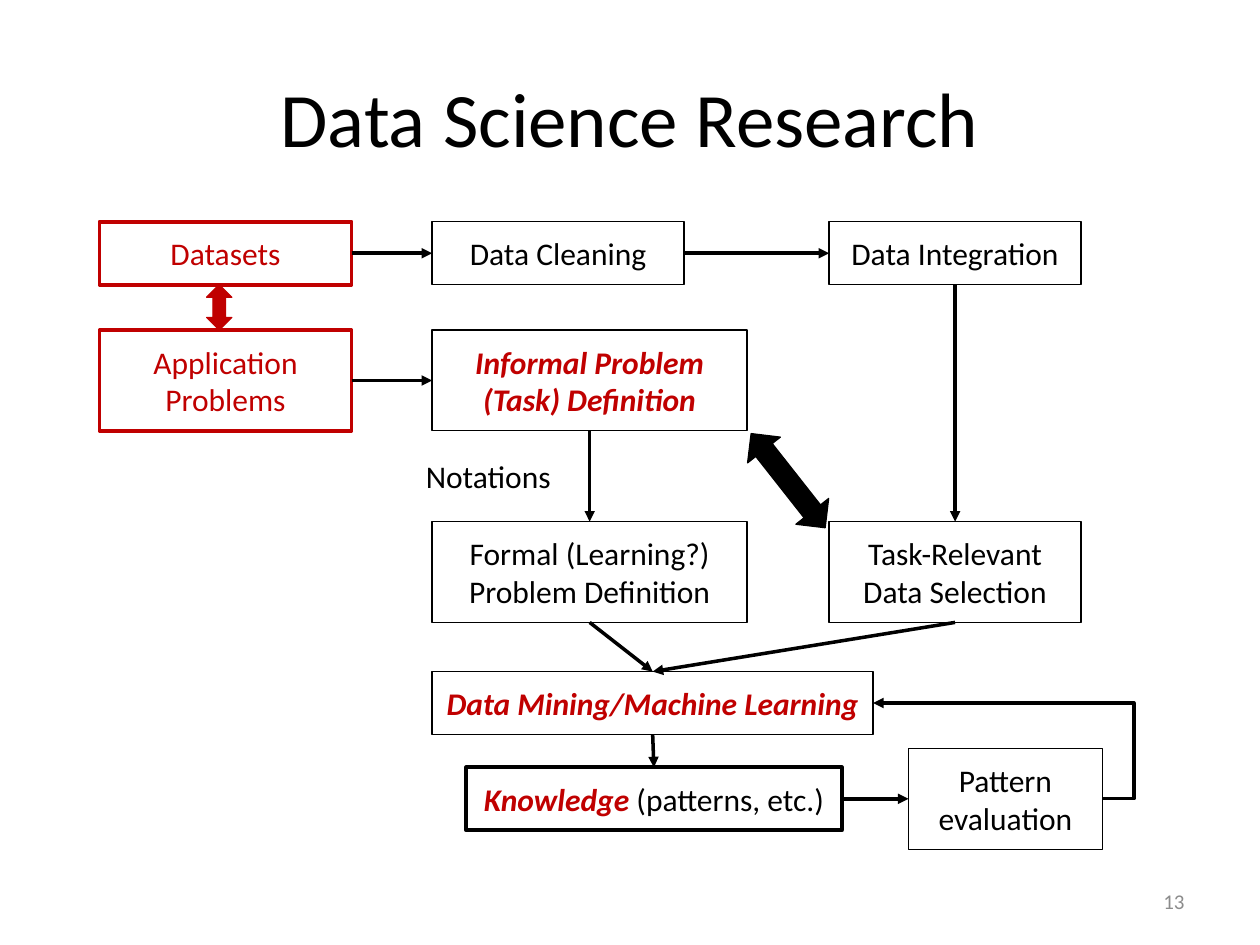
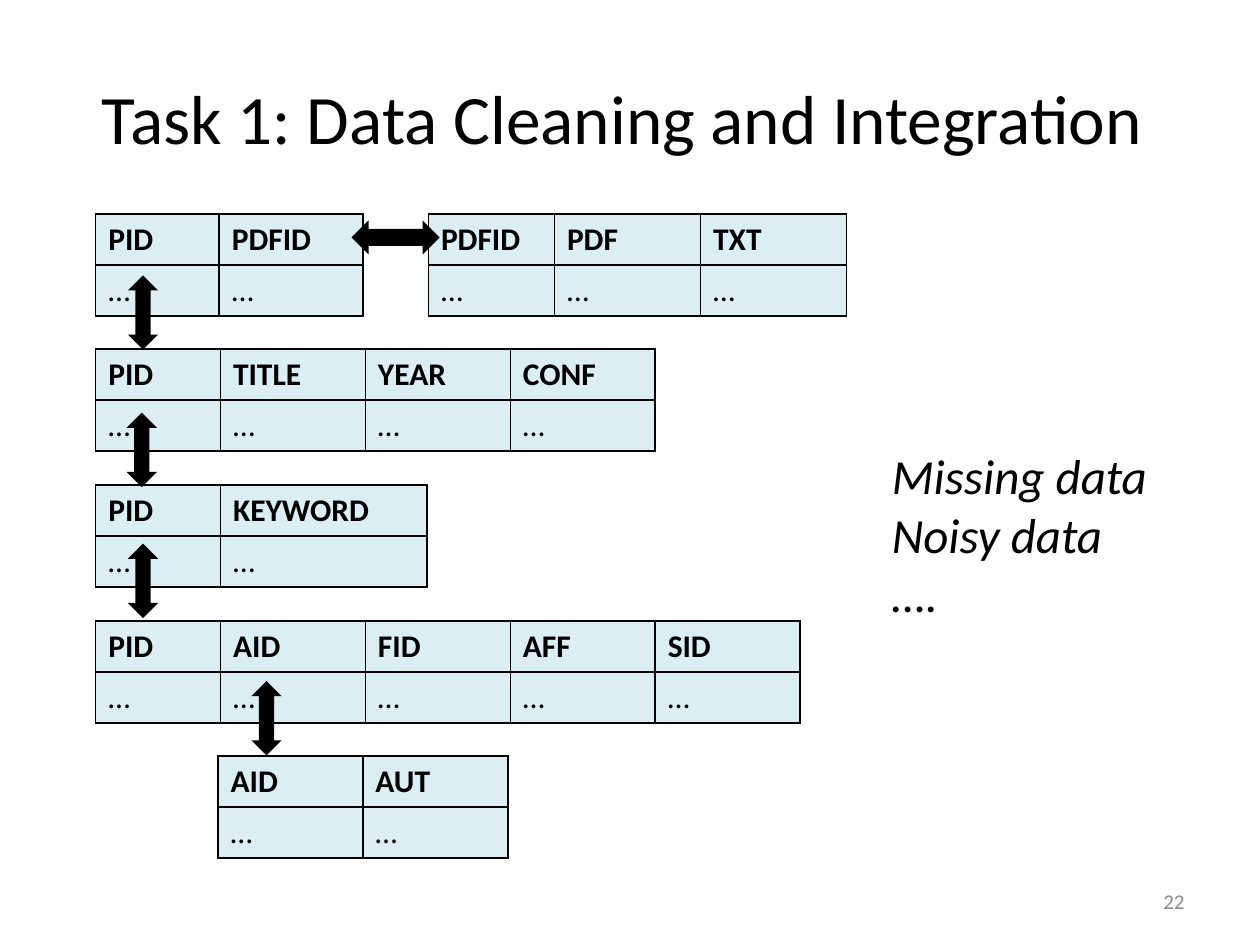
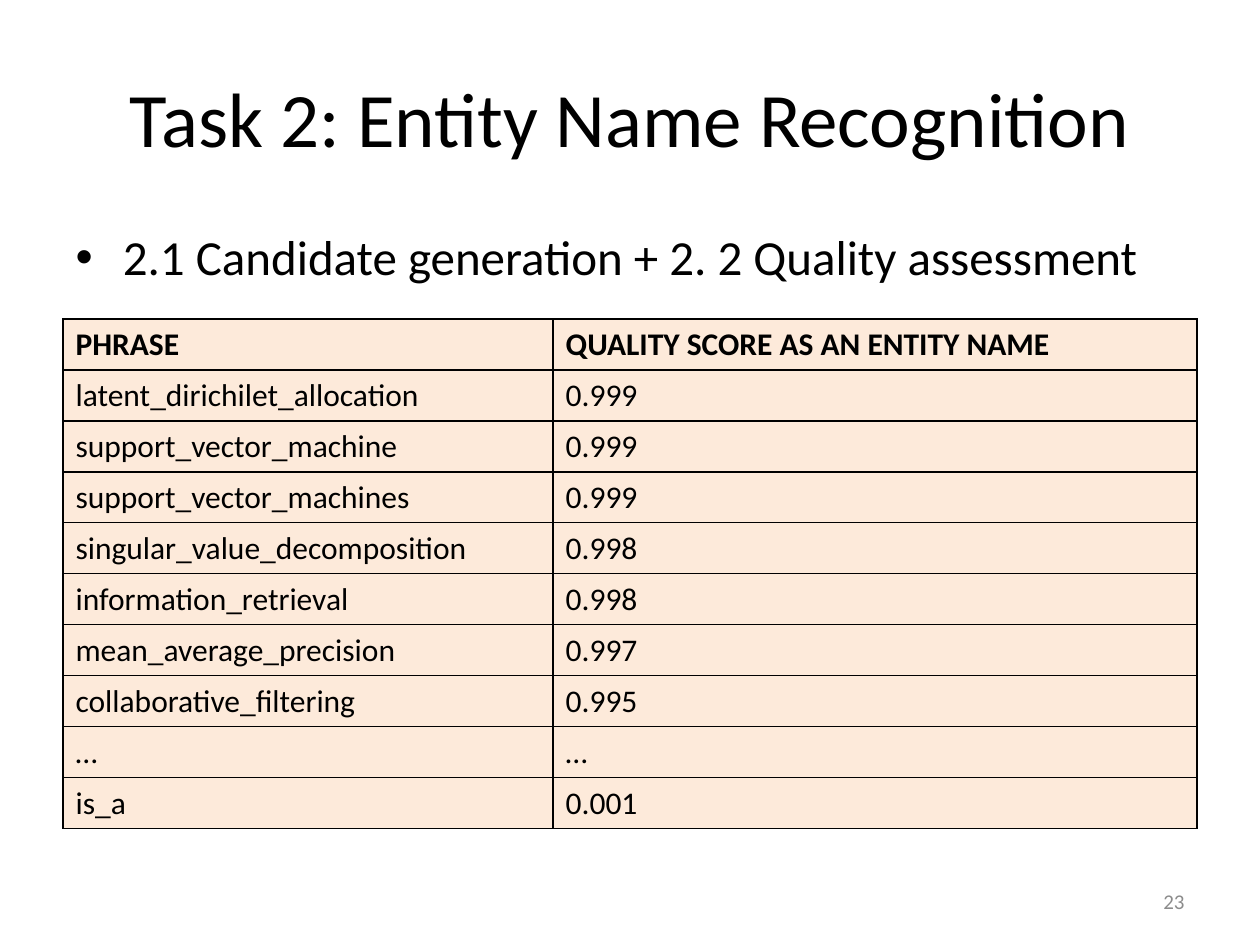
"""Build three slides on a data science workflow, data cleaning and entity names."""
from dataclasses import dataclass

from lxml.etree import SubElement
from pptx import Presentation
from pptx.dml.color import RGBColor
from pptx.enum.shapes import MSO_CONNECTOR as CONN, MSO_SHAPE as SHAPE
from pptx.enum.text import MSO_ANCHOR as ANCHOR, MSO_AUTO_SIZE as AUTO, PP_ALIGN as ALIGN
from pptx.oxml.ns import qn
from pptx.util import Inches, Pt


@dataclass(frozen=True)
class Theme:
    font: str = "Calibri"
    black: str = "000000"
    red: str = "C00000"
    grey: str = "8C8C8C"
    blue: str = "DBEEF4"
    peach: str = "FDEADA"
    title: float = 44
    long_title: float = 39.6
    lead: float = 28
    body: float = 18
    number: float = 12


T = Theme()
LAYOUT_BODY, LAYOUT_TITLE = 1, 5
TITLE_AT = (0.5, 0.3, 9, 1.25)
BODY_AT = (0.5, 1.75, 9, 4.95)
NUMBER_AT = (7.17, 6.95, 2.33, 0.4)
ROW_H = 0.405
TOP, LEFT, BOTTOM, RIGHT = range(4)

PLAIN = {}
RED = dict(color=T.red)
KEY = dict(color=T.red, bold=True, italic=True)
THIN, THICK = (T.black, 0.75), (T.black, 2.25)
RED_THICK = (T.red, 2.25)

BOXES = {
    "datasets": ((0.79, 1.76, 2, 0.5), RED_THICK, [("Datasets", RED)]),
    "application": ((0.79, 2.62, 2, 0.8), RED_THICK, [("Application Problems", RED)]),
    "informal": ((3.43, 2.62, 2.5, 0.8), THIN, [("Informal Problem (Task) Definition", KEY)]),
    "formal": ((3.43, 4.14, 2.5, 0.8), THIN, [("Formal (Learning?) Problem Definition", PLAIN)]),
    "cleaning": ((3.43, 1.76, 2, 0.5), THIN, [("Data Cleaning", PLAIN)]),
    "integration": ((6.58, 1.76, 2, 0.5), THIN, [("Data Integration", PLAIN)]),
    "selection": ((6.58, 4.14, 2, 0.8), THIN, [("Task-Relevant Data Selection", PLAIN)]),
    "mining": ((3.43, 5.33, 3.5, 0.5), THIN, [("Data Mining/Machine Learning", KEY)]),
    "knowledge": ((3.7, 6.09, 2.98, 0.5), THICK,
                  [("Knowledge ", KEY), ("(patterns, etc.)", PLAIN)]),
    "evaluation": ((7.21, 5.94, 1.54, 0.8), THIN, [("Pattern evaluation", PLAIN)]),
}
FLOWS = [
    ("datasets", RIGHT, "cleaning", LEFT),
    ("cleaning", RIGHT, "integration", LEFT),
    ("integration", BOTTOM, "selection", TOP),
    ("application", RIGHT, "informal", LEFT),
    ("informal", BOTTOM, "formal", TOP),
    ("formal", BOTTOM, "mining", TOP),
    ("selection", BOTTOM, "mining", TOP),
    ("mining", BOTTOM, "knowledge", TOP),
    ("knowledge", RIGHT, "evaluation", LEFT),
]
FEEDBACK = ("evaluation", RIGHT, "mining", RIGHT)
FEEDBACK_BEND = -13700

RELATIONS = [
    ((3.4, 1.7), {"PDFID": 1, "PDF": 1.16, "TXT": 1.16}),
    ((0.76, 1.7), {"PID": 0.98, "PDFID": 1.14}),
    ((0.76, 2.77), {"PID": 0.99, "TITLE": 1.15, "YEAR": 1.15, "CONF": 1.15}),
    ((0.76, 3.85), {"PID": 0.99, "KEYWORD": 1.64}),
    ((0.76, 4.93), {"PID": 0.99, "AID": 1.15, "FID": 1.15, "AFF": 1.15, "SID": 1.15}),
    ((1.73, 6), {"AID": 1.15, "AUT": 1.15}),
]
KEY_LINKS = [(0.84, 2.36), (0.83, 3.45), (0.84, 4.49), (1.82, 5.58)]
DATA_ISSUES = ["Missing data", "Noisy data", "…."]

PHRASES = [
    ("PHRASE", "QUALITY SCORE AS AN ENTITY NAME"),
    ("latent_dirichilet_allocation", "0.999"),
    ("support_vector_machine", "0.999"),
    ("support_vector_machines", "0.999"),
    ("singular_value_decomposition", "0.998"),
    ("information_retrieval", "0.998"),
    ("mean_average_precision", "0.997"),
    ("collaborative_filtering", "0.995"),
    ("…", "…"),
    ("is_a", "0.001"),
]


def rgb(color):
    return RGBColor.from_string(color)


def place(sp, at):
    sp.left, sp.top, sp.width, sp.height = map(Inches, at)


def write(tf, paras, size=T.body, color=T.black, bold=False, italic=False,
          align=ALIGN.LEFT, anchor=ANCHOR.TOP, wrap=True):
    """Fill a frame; each paragraph is a string or a list of (text, format) runs."""
    tf.word_wrap, tf.vertical_anchor = wrap, anchor
    for i, runs in enumerate([paras] if isinstance(paras, str) else paras):
        p = tf.add_paragraph() if i else tf.paragraphs[0]
        p.alignment = align
        p.space_before = Pt(0)
        for text, fmt in [(runs, PLAIN)] if isinstance(runs, str) else runs:
            style = dict(color=color, bold=bold, italic=italic) | fmt
            r = p.add_run()
            r.text = text
            r.font.name, r.font.size = T.font, Pt(size)
            r.font.bold, r.font.italic = style["bold"], style["italic"]
            r.font.color.rgb = rgb(style["color"])


def add_text(s, at, paras, **fmt):
    sp = s.shapes.add_textbox(*map(Inches, at))
    write(sp.text_frame, paras, **fmt)


def add_slide(prs, layout, title, number, size=T.title):
    s = prs.slides.add_slide(prs.slide_layouts[layout])
    place(s.shapes.title, TITLE_AT)
    s.shapes.title.text_frame.auto_size = AUTO.NONE
    write(s.shapes.title.text_frame, title, size=size, align=ALIGN.CENTER, anchor=ANCHOR.MIDDLE)
    add_text(s, NUMBER_AT, str(number), size=T.number, color=T.grey,
             align=ALIGN.RIGHT, anchor=ANCHOR.MIDDLE)
    return s


def add_shape(s, kind, at, fill=None, line=None, rotation=0):
    sp = s.shapes.add_shape(kind, *map(Inches, at))
    sp.shadow.inherit = False
    sp.rotation = rotation
    if fill:
        sp.fill.solid()
        sp.fill.fore_color.rgb = rgb(fill)
    else:
        sp.fill.background()
    if line:
        sp.line.color.rgb, sp.line.width = rgb(line[0]), Pt(line[1])
    else:
        sp.line.fill.background()
    return sp


def add_flow(s, boxes, start, start_side, end, end_side, kind=CONN.STRAIGHT):
    c = s.shapes.add_connector(kind, 0, 0, 0, 0)
    c.begin_connect(boxes[start], start_side)
    c.end_connect(boxes[end], end_side)
    c.line.color.rgb, c.line.width = rgb(T.black), Pt(2)
    SubElement(c.line._get_or_add_ln(), qn("a:tailEnd"), type="triangle")
    SubElement(c._element.spPr, qn("a:effectLst"))
    return c


def add_grid(s, at, widths, rows, fill):
    size = sum(widths), ROW_H * len(rows)
    table = s.shapes.add_table(len(rows), len(widths), *map(Inches, at + size)).table
    table.first_row = table.horz_banding = False
    for col, width in zip(table.columns, widths):
        col.width = Inches(width)
    for i, row in enumerate(rows):
        table.rows[i].height = Inches(ROW_H)
        for j, text in enumerate(row):
            cell = table.cell(i, j)
            write(cell.text_frame, text, bold=i == 0)
            tc_pr = cell._tc.get_or_add_tcPr()
            for edge in ("a:lnL", "a:lnR", "a:lnT", "a:lnB"):
                ln = SubElement(tc_pr, qn(edge), w=str(Pt(1)))
                SubElement(SubElement(ln, qn("a:solidFill")), qn("a:srgbClr"), val=T.black)
            cell.fill.solid()
            cell.fill.fore_color.rgb = rgb(fill)


def research_slide(prs):
    s = add_slide(prs, LAYOUT_TITLE, "Data Science Research", 13)
    boxes = {}
    for name, (at, line, runs) in BOXES.items():
        boxes[name] = add_shape(s, SHAPE.RECTANGLE, at, line=line)
        write(boxes[name].text_frame, [runs], align=ALIGN.CENTER, anchor=ANCHOR.MIDDLE)
    for flow in FLOWS:
        add_flow(s, boxes, *flow)
    feedback = add_flow(s, boxes, *FEEDBACK, kind=CONN.ELBOW)
    guides = feedback._element.spPr.find(qn("a:prstGeom")).get_or_add_avLst()
    SubElement(guides, qn("a:gd"), name="adj1", fmla=f"val {FEEDBACK_BEND}")
    add_text(s, (3.18, 3.58, 1.39, 0.4), "Notations", align=ALIGN.CENTER, anchor=ANCHOR.MIDDLE)
    add_shape(s, SHAPE.UP_DOWN_ARROW, (1.64, 2.26, 0.2, 0.36), T.red, (T.red, 0.75))
    add_shape(s, SHAPE.UP_DOWN_ARROW, (6.09, 3.34, 0.33, 0.95), T.black, THIN, 141.8)


def cleaning_slide(prs):
    s = add_slide(prs, LAYOUT_TITLE, "Task 1: Data Cleaning and Integration ", 22, T.long_title)
    for at, cols in RELATIONS:
        add_grid(s, at, list(cols.values()), [list(cols), ["…"] * len(cols)], T.blue)
    add_shape(s, SHAPE.LEFT_RIGHT_ARROW, (2.79, 1.75, 0.7, 0.27), T.black)
    for at in KEY_LINKS:
        add_shape(s, SHAPE.LEFT_RIGHT_ARROW, at + (0.59, 0.24), T.black, rotation=90)
    add_text(s, (6.98, 3.49, 2.25, 1.51), DATA_ISSUES, size=T.lead, italic=True, wrap=False)


def recognition_slide(prs):
    s = add_slide(prs, LAYOUT_BODY, "Task 2: Entity Name Recognition", 23)
    body = s.placeholders[1]
    place(body, BODY_AT)
    body.text_frame.auto_size = AUTO.NONE
    write(body.text_frame, "2.1 Candidate generation + 2. 2 Quality assessment", size=T.lead)
    add_grid(s, (0.5, 2.53), [3.89, 5.11], PHRASES, T.peach)


def main():
    prs = Presentation()
    prs.slide_width, prs.slide_height = Inches(10), Inches(7.5)
    research_slide(prs)
    cleaning_slide(prs)
    recognition_slide(prs)
    prs.save("out.pptx")


if __name__ == "__main__":
    main()
